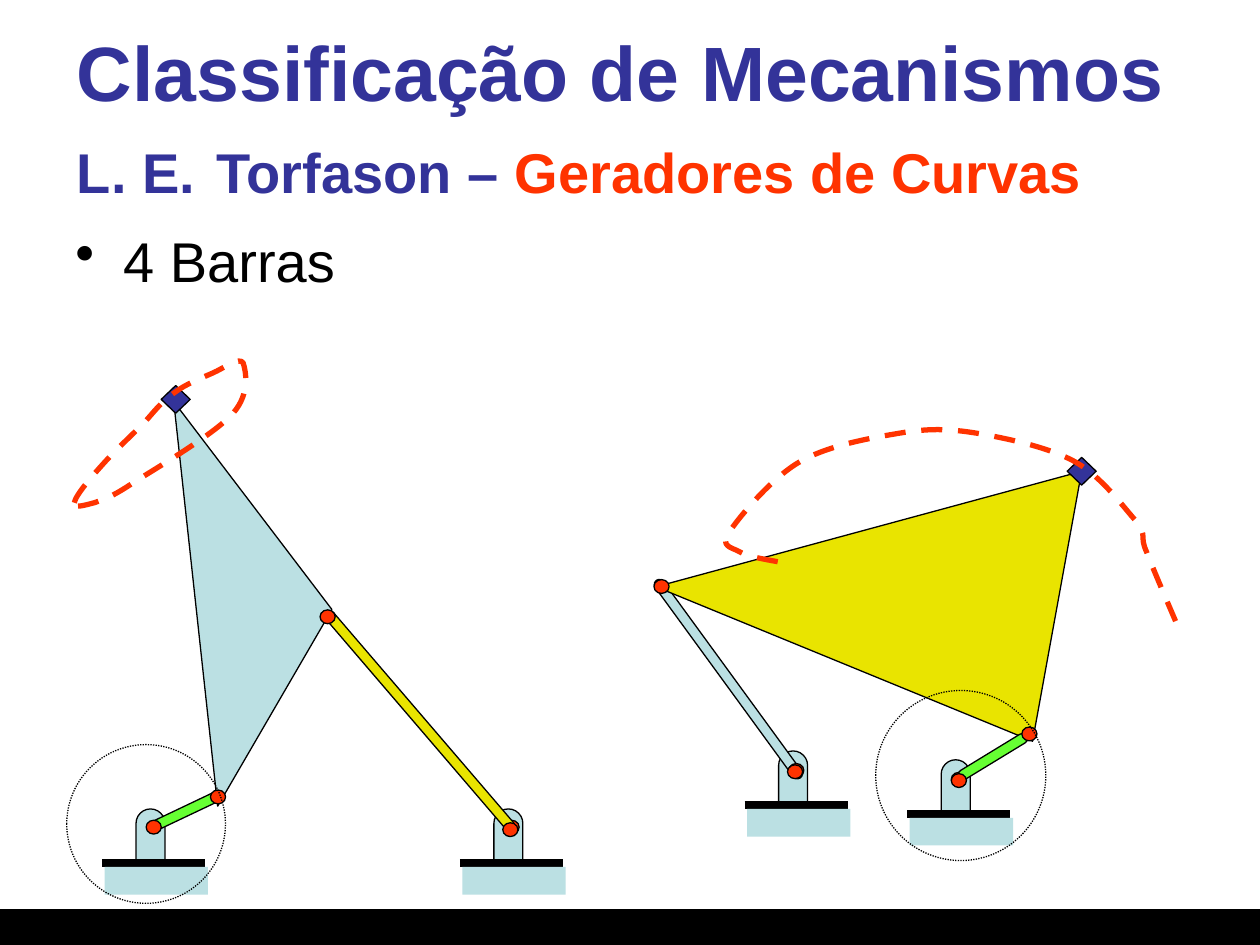
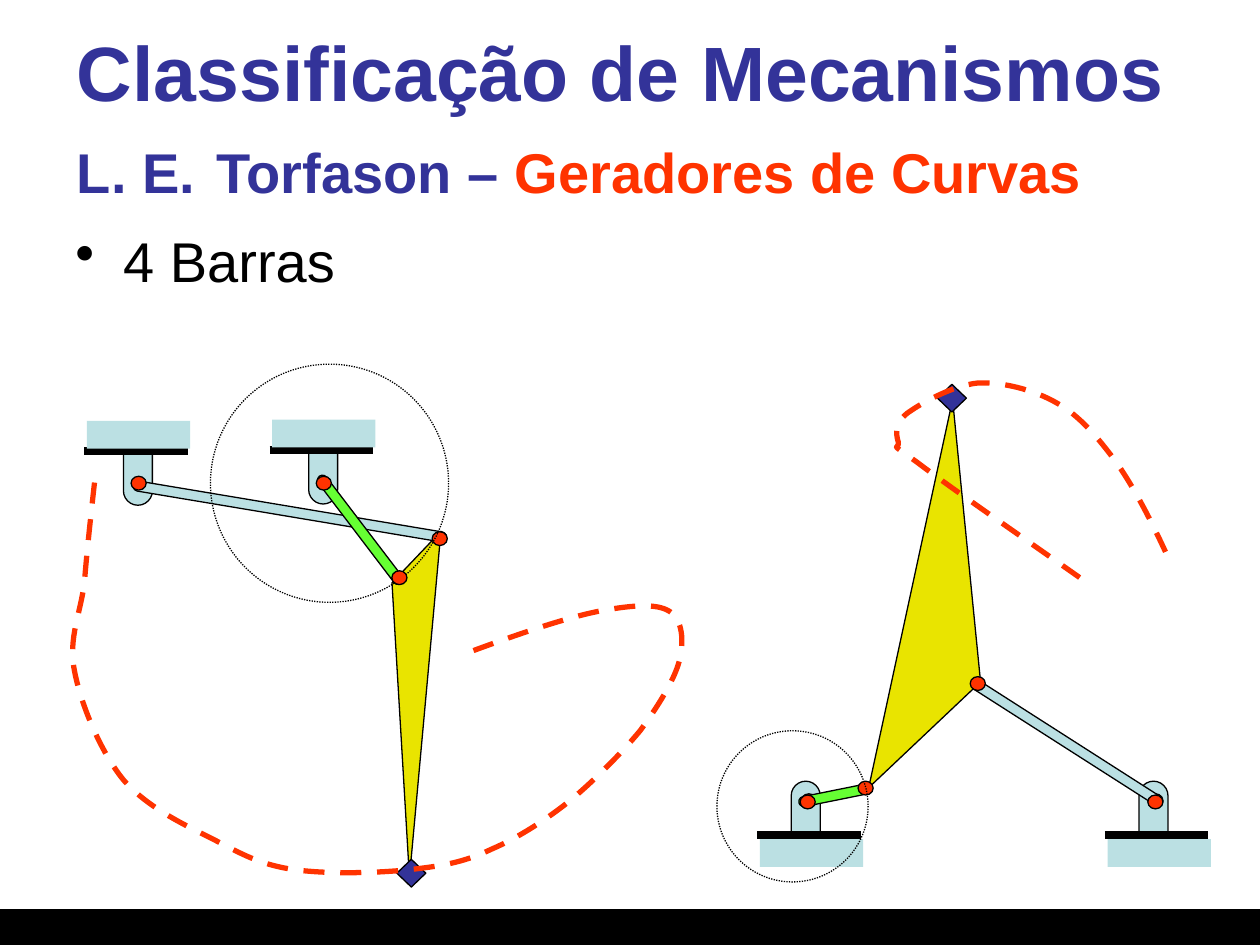
"""Builds two slides on four-bar curve generators."""
from dataclasses import dataclass
from typing import Optional, Union

from pptx import Presentation
from pptx import util as u
from pptx.dml.color import RGBColor
from pptx.enum import dml, shapes, text
from pptx.oxml import ns, xmlchemy

COLORS = {
    "ink": "000000",
    "title": "333399",
    "accent": "FF3300",
    "steel": "BBE0E3",
    "crank": "66FF33",
    "yellow": "E9E400",
}
FONT = "Arial"
SHAPE = shapes.MSO_SHAPE
DASH = dml.MSO_LINE
Point = tuple[float, float]


@dataclass
class Part:
    preset: int
    left: float
    top: float
    width: float
    height: float
    fill: Optional[str] = None
    rotation: float = 0
    adjust: Optional[float] = None
    outline: Optional[str] = "ink"
    dash: Optional[int] = None


@dataclass
class Mount:
    left: float
    top: float
    hanging: bool = False


@dataclass
class Trace:
    points: list[Point]
    closed: bool = False


Piece = Union[Part, Mount, Trace]


def pin(left: float, top: float) -> Part:
    return Part(SHAPE.OVAL, left, top, 0.12, 0.11, "accent")


def tracer(left: float, top: float) -> Part:
    return Part(SHAPE.DIAMOND, left, top, 0.23, 0.22, "title")


def bar(left: float, top: float, length: float, rotation: float, fill: str) -> Part:
    return Part(SHAPE.ROUNDED_RECTANGLE, left, top, 0.08, length, fill, rotation, 0.5)


def coupler(left: float, top: float, width: float, height: float,
            rotation: float, apex: float, fill: str = "yellow") -> Part:
    return Part(SHAPE.ISOSCELES_TRIANGLE, left, top, width, height, fill, rotation, apex)


def orbit(left: float, top: float, size: float) -> Part:
    return Part(SHAPE.OVAL, left, top, size, size, dash=DASH.ROUND_DOT)


def inch(value: float) -> u.Length:
    return u.Cm(value * 2.54)


def color(name: str) -> RGBColor:
    return RGBColor.from_string(COLORS[name])


def write(paragraph, words: str, *, size: float = 32, fill: str = "ink", bold: bool = False) -> None:
    run = paragraph.add_run()
    run.text = words
    run.font.name = FONT
    run.font.size = u.Pt(size)
    run.font.bold = bold
    run.font.color.rgb = color(fill)


def draw_part(canvas, part: Part) -> None:
    shape = canvas.add_shape(part.preset, *map(inch, (part.left, part.top, part.width, part.height)))
    shape.shadow.inherit = False
    shape.rotation = part.rotation
    if part.adjust is not None:
        shape.adjustments[0] = part.adjust
    if part.fill:
        shape.fill.solid()
        shape.fill.fore_color.rgb = color(part.fill)
    else:
        shape.fill.background()
    if part.outline:
        shape.line.color.rgb = color(part.outline)
        shape.line.width = u.Pt(0.75)
        shape.line.dash_style = part.dash
    else:
        shape.line.fill.background()


def draw_mount(canvas, mount: Mount) -> None:
    x, y = mount.left, mount.top
    if mount.hanging:
        floor_x, floor_y, ground_y = x - 0.31, y + 0.22, y - 0.02
    else:
        floor_x, floor_y, ground_y = x - 0.27, y + 0.43, y + 0.46
    draw_part(canvas, Part(SHAPE.ROUNDED_RECTANGLE, x, y, 0.23, 0.65, "steel", adjust=0.5))
    floor = canvas.add_connector(shapes.MSO_CONNECTOR.STRAIGHT,
                                 *map(inch, (floor_x, floor_y, floor_x + 0.82, floor_y)))
    floor.line.color.rgb = color("ink")
    floor.line.width = u.Pt(4.5)
    floor._element.spPr.append(xmlchemy.OxmlElement("a:effectLst"))
    draw_part(canvas, Part(SHAPE.RECTANGLE, floor_x + 0.02, ground_y, 0.82, 0.22, "steel", outline=None))


def draw_trace(canvas, trace: Trace) -> None:
    """Draws a start point followed by triples of Bézier control points."""
    start, *rest = [(inch(x), inch(y)) for x, y in trace.points]
    builder = canvas.build_freeform(*start)
    builder.add_line_segments(rest, close=trace.closed)
    shape = builder.convert_to_shape()
    shape.shadow.inherit = False
    shape.fill.background()
    shape.line.color.rgb = color("accent")
    shape.line.width = u.Pt(3)
    shape.line.dash_style = DASH.DASH
    segments = list(shape._element.iter(ns.qn("a:lnTo")))
    for first in range(0, len(segments), 3):
        curve = xmlchemy.OxmlElement("a:cubicBezTo")
        segments[first].addprevious(curve)
        for segment in segments[first:first + 3]:
            curve.append(segment[0])
            segment.getparent().remove(segment)


DRAW = {Part: draw_part, Mount: draw_mount, Trace: draw_trace}


def draw_heading(slide) -> None:
    title = slide.shapes.title
    title.left, title.top, title.width, title.height = map(inch, (0.51, 0.3, 9.21, 1.25))
    title.text_frame.vertical_anchor = text.MSO_ANCHOR.MIDDLE
    title.text_frame.auto_size = text.MSO_AUTO_SIZE.NONE
    heading = title.text_frame.paragraphs[0]
    heading.alignment = text.PP_ALIGN.LEFT
    write(heading, "Classificação de Mecanismos", size=44, fill="title", bold=True)
    heading.add_line_break()
    write(heading, "L. E.", fill="title", bold=True)
    write(heading, " ", size=44, fill="title", bold=True)
    write(heading, "Torfason – ", fill="title", bold=True)
    write(heading, "Geradores de Curvas", fill="accent", bold=True)


def draw_topic(slide) -> None:
    frame = slide.shapes.add_textbox(*map(inch, (0.5, 1.75, 8.83, 0.9))).text_frame
    frame.word_wrap = True
    topic = frame.paragraphs[0]
    topic.space_before = u.Pt(4)
    write(topic, "4 Barras")
    properties = topic._p.get_or_add_pPr()
    properties.set("marL", str(inch(0.38)))
    properties.set("indent", str(-inch(0.38)))
    bullet = xmlchemy.OxmlElement("a:buChar")
    bullet.set("char", "•")
    properties.append(bullet)


def build_slide(deck, mechanisms: list[list[Piece]]) -> None:
    slide = deck.slides.add_slide(deck.slide_layouts[5])
    draw_part(slide.shapes, Part(SHAPE.RECTANGLE, 0, 7.22, 10, 0.28, "ink"))
    draw_heading(slide)
    draw_topic(slide)
    for mechanism in mechanisms:
        canvas = slide.shapes.add_group_shape().shapes
        for piece in mechanism:
            DRAW[type(piece)](canvas, piece)


LOOP = Trace([
    (0.59, 3.99), (0.6, 3.93), (0.73, 3.78), (0.83, 3.67), (0.92, 3.57), (1.05, 3.45), (1.14, 3.36),
    (1.23, 3.26), (1.28, 3.19), (1.38, 3.12), (1.47, 3.05), (1.6, 3), (1.69, 2.96),
    (1.78, 2.92), (1.9, 2.83), (1.93, 2.88), (1.95, 2.94), (1.99, 3.12), (1.85, 3.28),
    (1.71, 3.44), (1.25, 3.71), (1.06, 3.83), (0.88, 3.95), (0.83, 3.96), (0.75, 3.99),
    (0.67, 4.01), (0.58, 4.04), (0.59, 3.99),
], closed=True)
ARCH = Trace([
    (9.33, 4.93), (9.24, 4.72), (9.15, 4.51), (9.1, 4.38), (9.04, 4.25), (9.11, 4.26), (9.02, 4.14),
    (8.92, 4.03), (8.75, 3.79), (8.54, 3.67), (8.33, 3.55), (7.99, 3.48), (7.76, 3.44),
    (7.52, 3.4), (7.36, 3.4), (7.13, 3.44), (6.89, 3.48), (6.56, 3.54), (6.34, 3.67),
    (6.12, 3.8), (5.87, 4.1), (5.79, 4.22), (5.71, 4.34), (5.8, 4.34), (5.87, 4.38),
    (5.93, 4.42), (6.13, 4.45), (6.18, 4.46),
])
HOOK = Trace([
    (9.25, 4.38), (9.13, 4.12), (9, 3.87), (8.86, 3.67), (8.72, 3.48), (8.57, 3.3), (8.39, 3.2),
    (8.2, 3.09), (7.95, 3.03), (7.76, 3.04), (7.56, 3.06), (7.31, 3.2), (7.2, 3.28),
    (7.1, 3.36), (7.11, 3.45), (7.13, 3.51), (7.14, 3.58), (7.03, 3.49), (7.28, 3.67),
    (7.53, 3.86), (8.08, 4.24), (8.62, 4.62),
])
BASIN = Trace([
    (0.75, 3.83), (0.72, 4.1), (0.69, 4.37), (0.67, 4.62), (0.64, 4.87), (0.54, 5.06), (0.59, 5.32),
    (0.64, 5.59), (0.8, 5.97), (0.98, 6.19), (1.17, 6.41), (1.47, 6.55), (1.69, 6.66),
    (1.92, 6.78), (2.06, 6.86), (2.32, 6.9), (2.59, 6.94), (3.01, 6.93), (3.27, 6.9),
    (3.53, 6.87), (3.69, 6.84), (3.9, 6.74), (4.11, 6.65), (4.33, 6.51), (4.53, 6.35),
    (4.72, 6.19), (4.93, 5.98), (5.08, 5.8), (5.22, 5.61), (5.35, 5.4), (5.39, 5.25),
    (5.43, 5.09), (5.42, 4.92), (5.31, 4.85), (5.21, 4.79), (5.03, 4.8), (4.76, 4.85),
    (4.5, 4.9), (4.12, 5.03), (3.74, 5.17),
])

LOOP_LINKAGE: list[Piece] = [
    coupler(0.47, 4.2, 3.23, 1.07, 83.8, 0.55, "steel"),
    Mount(1.08, 6.42), bar(1.42, 6.13, 0.63, 244.6, "crank"), tracer(1.28, 3.06),
    Mount(3.92, 6.42), pin(4, 6.51), bar(3.29, 4.58, 2.28, 319.4, "yellow"),
    pin(2.54, 4.84), pin(3.99, 6.53), pin(1.16, 6.51), pin(1.67, 6.27),
    orbit(0.53, 5.91, 1.26), LOOP,
]
ARCH_LINKAGE: list[Piece] = [
    Mount(6.18, 5.96), bar(5.74, 4.42, 1.94, 143.9, "steel"), pin(6.26, 6.06), pin(6.25, 6.07),
    Mount(7.47, 6.03), pin(7.55, 6.13), coupler(5.49, 3.22, 3.23, 2.13, 22.3, 0.86),
    pin(5.19, 4.6), bar(7.84, 5.69, 0.63, 238.6, "crank"), pin(7.55, 6.14), pin(8.11, 5.77),
    tracer(8.47, 3.63), orbit(6.95, 5.48, 1.35), ARCH,
]
HOOK_LINKAGE: list[Piece] = [
    Mount(9.04, 6.2), pin(9.11, 6.3), Mount(6.28, 6.2), pin(6.36, 6.3),
    coupler(5.99, 4.44, 3.15, 0.69, 102.2, 0.68), bar(6.57, 6.04, 0.55, 258.6, "crank"),
    pin(6.35, 6.31), pin(6.81, 6.2), tracer(7.44, 3.05), orbit(5.69, 5.8, 1.2),
    bar(8.42, 5.01, 1.76, 122.6, "steel"), pin(7.7, 5.37), pin(9.11, 6.31), HOOK,
]
BASIN_LINKAGE: list[Piece] = [
    Mount(0.98, 3.36, hanging=True), bar(2.26, 2.8, 2.52, 99.5, "steel"),
    coupler(1.82, 5.4, 2.76, 0.35, 275.2, 0.84), tracer(3.15, 6.82),
    Mount(2.45, 3.35, hanging=True), bar(2.82, 3.67, 1.07, 322.7, "crank"),
    pin(2.51, 3.78), pin(3.43, 4.22), orbit(1.67, 2.89, 1.89), pin(3.11, 4.53), pin(1.04, 3.78),
    BASIN,
]


def main() -> None:
    deck = Presentation()
    deck.slide_width, deck.slide_height = inch(10), inch(7.5)
    build_slide(deck, [LOOP_LINKAGE, ARCH_LINKAGE])
    build_slide(deck, [HOOK_LINKAGE, BASIN_LINKAGE])
    deck.save("out.pptx")


if __name__ == "__main__":
    main()
